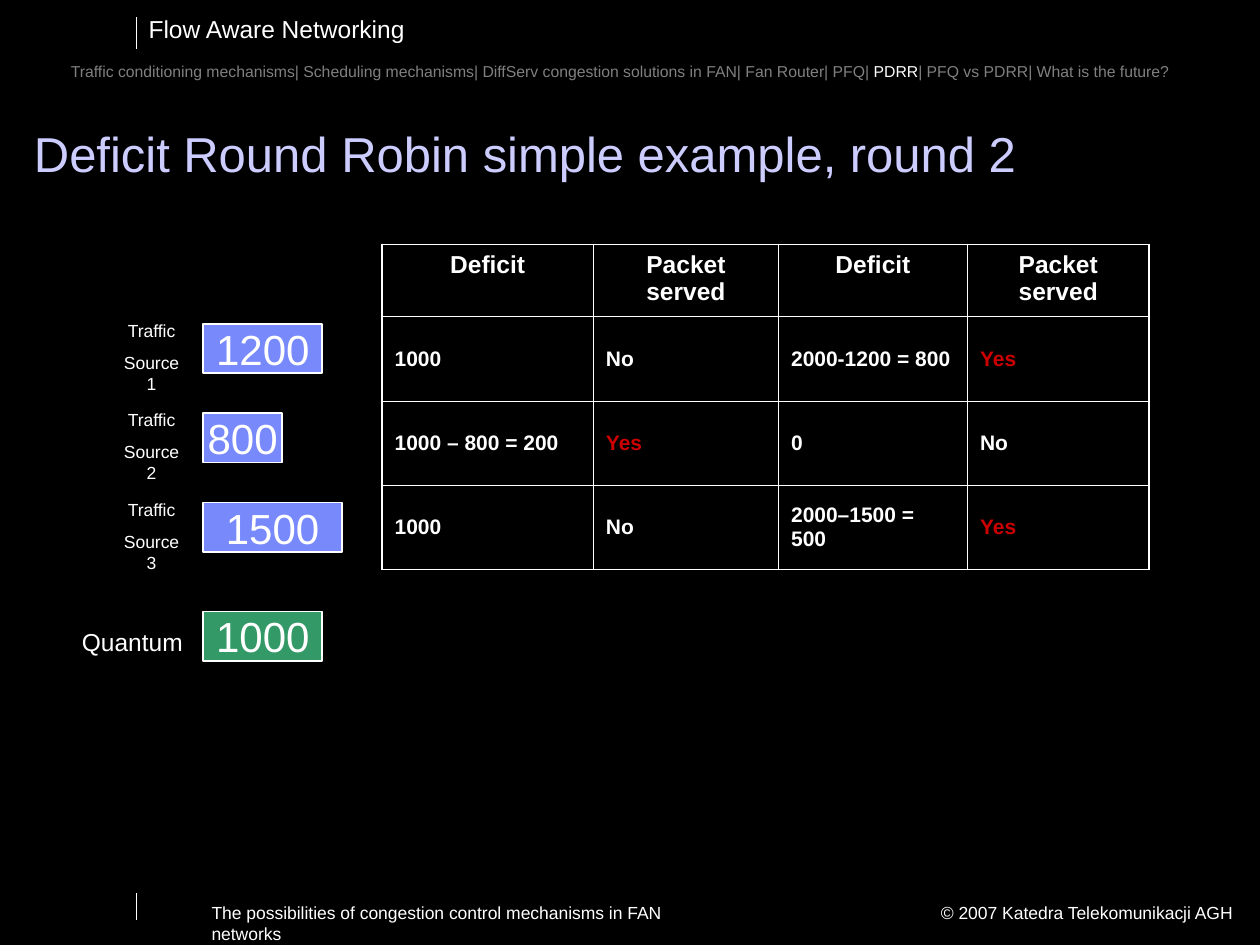
import lxml.etree
import pptx
import pptx.dml.color
import pptx.enum.shapes
import pptx.enum.text
import pptx.oxml.ns
import pptx.util
from dataclasses import dataclass

Pt = pptx.util.Pt
Align = pptx.enum.text.PP_ALIGN
Anchor = pptx.enum.text.MSO_ANCHOR


@dataclass
class Theme:
    font: str = "Arial"
    background: str = "000000"
    text: str = "FFFFFF"
    title: str = "CCCCFF"
    muted: str = "808080"
    packet: str = "7889FB"
    quantum: str = "339966"
    served: str = "CC0000"
    title_size: float = 28
    packet_size: float = 24
    heading_size: float = 14
    cell_size: float = 12
    label_size: float = 10
    trail_size: float = 9


theme = Theme()
color = pptx.dml.color.RGBColor.from_string


def style_text(frame, size, tint=theme.text, align=Align.LEFT, bold=False):
    for para in frame.paragraphs:
        para.alignment = align
        for span in para.runs:
            span.font.name = theme.font
            span.font.size = Pt(size)
            span.font.bold = bold
            span.font.color.rgb = color(tint)


def add_label(text, left, top, width, height, size, align=Align.LEFT, wrap=True):
    box = page.shapes.add_textbox(Pt(left), Pt(top), Pt(width), Pt(height))
    box.text_frame.word_wrap = wrap
    box.text_frame.text = text
    style_text(box.text_frame, size, align=align)
    return box.text_frame


deck = pptx.Presentation()
deck.slide_width, deck.slide_height = Pt(720), Pt(540)
page = deck.slides.add_slide(deck.slide_layouts[5])
page.background.fill.solid()
page.background.fill.fore_color.rgb = color(theme.background)

# Header and footer
add_label("Flow Aware Networking", 77.8, 4.5, 162, 24.5, theme.heading_size, wrap=False)
add_label("© 2007 Katedra Telekomunikacji AGH", 450.7, 512, 260.6, 19.4,
          theme.label_size, Align.RIGHT)
add_label("The possibilities of congestion control mechanisms in FAN networks",
          113.8, 512, 300.2, 19.4, theme.label_size)
for top, bottom in ((10, 28), (510.5, 525.5)):
    rule = page.shapes.add_connector(
        pptx.enum.shapes.MSO_CONNECTOR.STRAIGHT, Pt(78), Pt(top), Pt(78), Pt(bottom))
    rule.line.color.rgb = color(theme.text)
    rule.line.width = Pt(0.75)
    lxml.etree.SubElement(rule.element.spPr, pptx.oxml.ns.qn("a:effectLst"))

trail = add_label("", 25.2, 31.7, 658, 34.6, theme.trail_size)
topics = (
    ("Traffic conditioning mechanisms| Scheduling mechanisms| "
     "DiffServ congestion solutions in FAN| Fan Router| PFQ| "),
    "PDRR",
    "| PFQ vs PDRR| What is the future?",
)
for topic in topics:
    trail.paragraphs[0].add_run().text = topic
style_text(trail, theme.trail_size, theme.muted, Align.CENTER)
trail.paragraphs[0].runs[1].font.color.rgb = color(theme.text)

# Title
title = page.shapes.title
title.left, title.top, title.width, title.height = Pt(12.2), Pt(68.4), Pt(649.4), Pt(39.6)
title.text_frame.text = "Deficit Round Robin simple example, round 2"
title.text_frame.auto_size = pptx.enum.text.MSO_AUTO_SIZE.NONE
title.text_frame.vertical_anchor = Anchor.BOTTOM
title.text_frame.paragraphs[0].line_spacing = 0.9
style_text(title.text_frame, theme.title_size, theme.title)

# Packets waiting at each source, and the quantum
first_top, pitch = 185, 51.1
packets = [
    ("1200", first_top, 68, theme.packet),
    ("800", first_top + pitch, 45, theme.packet),
    ("1500", first_top + 2 * pitch, 79.2, theme.packet),
    ("1000", 349.4, 68, theme.quantum),
]
for size, top, width, fill in packets:
    packet = page.shapes.add_shape(
        pptx.enum.shapes.MSO_SHAPE.RECTANGLE, Pt(116.2), Pt(top), Pt(width), Pt(28.3))
    packet.shadow.inherit = False
    packet.fill.solid()
    packet.fill.fore_color.rgb = color(fill)
    packet.line.color.rgb = color(theme.text)
    packet.line.width = Pt(1)
    packet.text_frame.word_wrap = False
    packet.text_frame.vertical_anchor = Anchor.MIDDLE
    packet.text_frame.text = size
    style_text(packet.text_frame, theme.packet_size, align=Align.CENTER)

for index in range(3):
    source = add_label(f"Traffic\nSource {index + 1}", 59.6, first_top - 5.7 + index * pitch,
                       54, 37.4, theme.label_size, Align.CENTER, wrap=False)
    source.paragraphs[1].space_before = Pt(6.2)
add_label("Quantum", 36.7, 355, 77.8, 24.5, theme.heading_size, Align.CENTER)

# Deficit table
rows = [
    ("Deficit", "Packet served", "Deficit", "Packet served"),
    ("1000", "No", "2000-1200 = 800", "Yes"),
    ("1000 – 800 = 200", "Yes", "0", "No"),
    ("1000", "No", "2000–1500 = 500", "Yes"),
]
column_widths = (120.8, 105.8, 108, 103.7)
row_heights = (41.2, 48.2, 48.2, 48.2)
table = page.shapes.add_table(
    len(rows), len(column_widths), Pt(218.3), Pt(139.7),
    Pt(sum(column_widths)), Pt(sum(row_heights))).table
table.first_row = table.horz_banding = False
for column, width in zip(table.columns, column_widths):
    column.width = Pt(width)
for row, height in zip(table.rows, row_heights):
    row.height = Pt(height)

last_row, last_column = len(rows) - 1, len(column_widths) - 1
for r, values in enumerate(rows):
    for c, value in enumerate(values):
        cell = table.cell(r, c)
        cell.text_frame.text = value
        if r == 0:
            style_text(cell.text_frame, theme.heading_size, align=Align.CENTER, bold=True)
        else:
            cell.vertical_anchor = Anchor.MIDDLE
            tint = theme.served if value == "Yes" else theme.text
            style_text(cell.text_frame, theme.cell_size, tint, bold=True)
        properties = cell._tc.get_or_add_tcPr()
        outer_edges = {"lnL": c == 0, "lnR": c == last_column,
                       "lnT": r == 0, "lnB": r == last_row}
        for edge, outer in outer_edges.items():
            border = lxml.etree.SubElement(
                properties, pptx.oxml.ns.qn(f"a:{edge}"), w=str(Pt(1.08 if outer else 0.45)))
            paint = lxml.etree.SubElement(border, pptx.oxml.ns.qn("a:solidFill"))
            lxml.etree.SubElement(paint, pptx.oxml.ns.qn("a:srgbClr"), val=theme.text)
        cell.fill.background()

deck.save("out.pptx")
